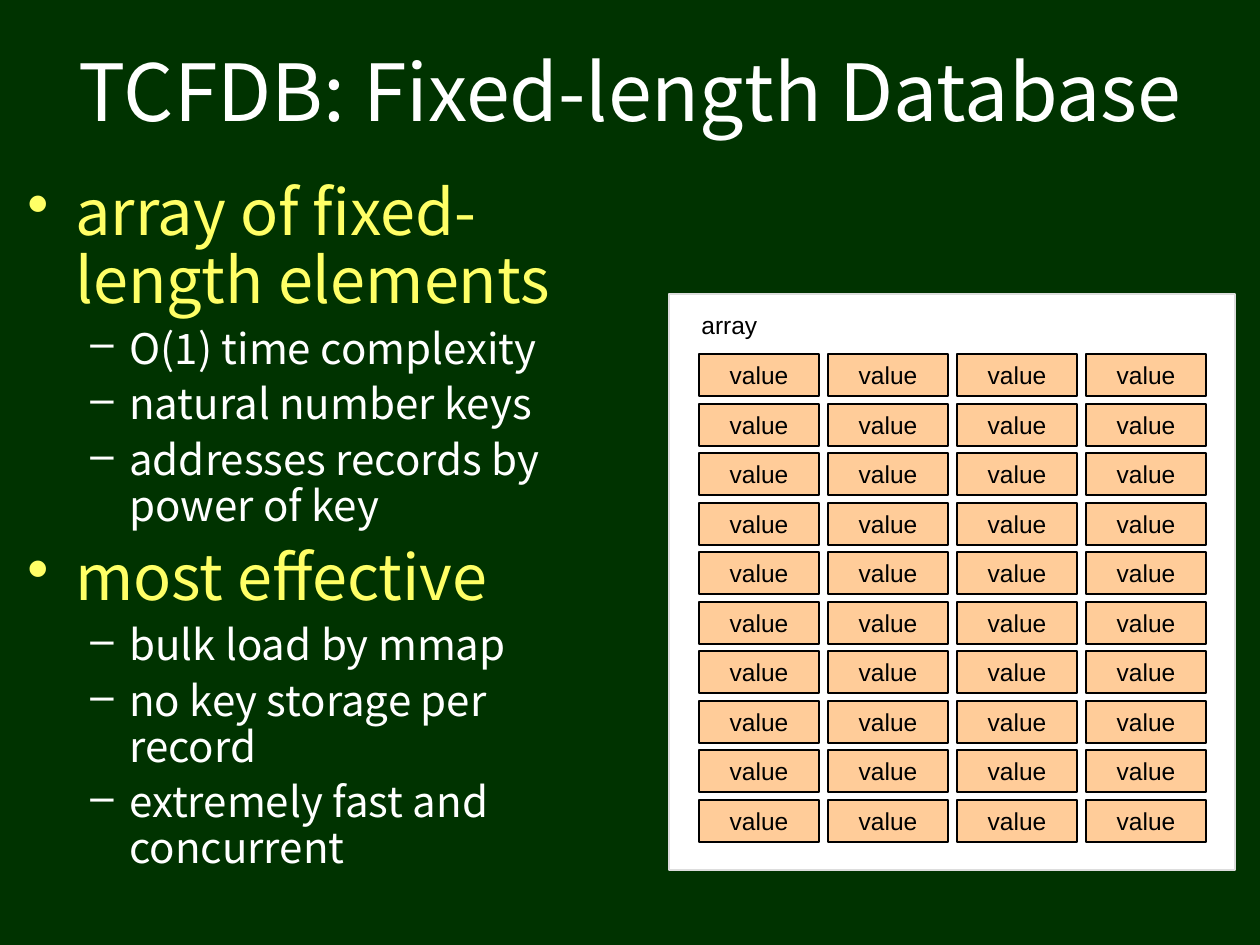
"""Builds a slide on a fixed-length array database."""
from lxml.etree import SubElement
from pptx import Presentation
from pptx.dml.color import RGBColor
from pptx.enum.shapes import MSO_SHAPE as SHAPE
from pptx.enum.text import MSO_ANCHOR as ANCHOR, MSO_AUTO_SIZE as FIT, PP_ALIGN as ALIGN
from pptx.oxml.ns import qn
from pptx.util import Emu, Pt

SCALE = 914400 / 126
GREEN, WHITE, YELLOW, PEACH, BLACK, GRAY = (
    "003300", "FFFFFF", "FFFF66", "FFCC99", "000000", "DDDDDD")
HEAD_FONT, LABEL_FONT = "Noto Sans CJK JP", "Arial"
TOPICS = {
    "array of fixed-length elements": [
        "O(1) time complexity",
        "natural number keys",
        "addresses records by power of key",
    ],
    "most effective": [
        "bulk load by mmap",
        "no key storage per record",
        "extremely fast and concurrent",
    ],
}
COLS, ROWS = 4, 10
CELL_W, CELL_H, COL_STEP = 120, 42, 129
GRID_LEFT, FIRST_TOP, LAST_TOP = 699, 354, 800


def px(n):
    return Emu(round(n * SCALE))


def rgb(value):
    return RGBColor.from_string(value)


def write(p, text, size=14, font=LABEL_FONT, color=BLACK, align=ALIGN.LEFT):
    r = p.add_run()
    r.text = text
    r.font.size, r.font.name = Pt(size), font
    r.font.color.rgb = rgb(color)
    p.alignment = align


def add_bullet(p, char, color, left, hang):
    pPr = p._p.get_or_add_pPr()
    pPr.set("marL", str(px(left)))
    pPr.set("indent", str(-px(hang)))
    SubElement(SubElement(pPr, qn("a:buClr")), qn("a:srgbClr"), val=color)
    SubElement(pPr, qn("a:buChar"), char=char)


class Deck:
    def __init__(self, width, height, background):
        self.prs = Presentation()
        self.prs.slide_width, self.prs.slide_height = px(width), px(height)
        self.s = self.prs.slides.add_slide(self.prs.slide_layouts[6])
        fill = self.s.background.fill
        fill.solid()
        fill.fore_color.rgb = rgb(background)

    def text(self, x, y, w, h, text="", anchor=ANCHOR.TOP, wrap=True, **style):
        tf = self.s.shapes.add_textbox(px(x), px(y), px(w), px(h)).text_frame
        tf.word_wrap, tf.vertical_anchor = wrap, anchor
        if text:
            write(tf.paragraphs[0], text, **style)
        return tf

    def box(self, x, y, w, h, fill, line, weight, text=""):
        sp = self.s.shapes.add_shape(SHAPE.RECTANGLE, px(x), px(y), px(w), px(h))
        sp.shadow.inherit = False
        sp.fill.solid()
        sp.fill.fore_color.rgb = rgb(fill)
        sp.line.color.rgb = rgb(line)
        sp.line.width = Pt(weight)
        if text:
            tf = sp.text_frame
            tf.word_wrap, tf.vertical_anchor = False, ANCHOR.MIDDLE
            write(tf.paragraphs[0], text, align=ALIGN.CENTER)

    def outline(self, x, y, w, h, topics):
        tf = self.text(x, y, w, h)
        items = [item for topic, points in topics.items()
                 for item in [(topic, 0), *((point, 1) for point in points)]]
        for i, (text, level) in enumerate(items):
            p = tf.add_paragraph() if i else tf.paragraphs[0]
            size, color, char, left, hang, before = (
                (24, WHITE, "–", 102, 39, 6) if level
                else (36, YELLOW, "•", 48, 48, 9))
            p.level, p.line_spacing, p.space_before = level, 0.9, Pt(before)
            add_bullet(p, char, color, left, hang)
            write(p, text, size=size, font=HEAD_FONT, color=color)


def main():
    deck = Deck(1260, 945, GREEN)
    deck.text(15, 16, 1230, 149, "TCFDB: Fixed-length Database", ANCHOR.MIDDLE,
              size=45, font=HEAD_FONT, color=WHITE, align=ALIGN.CENTER)
    deck.outline(15, 175, 605, 755, TOPICS)
    deck.box(669, 294, 566, 576, WHITE, GRAY, 1)
    for row in range(ROWS):
        top = FIRST_TOP + round((LAST_TOP - FIRST_TOP) * row / (ROWS - 1))
        for col in range(COLS):
            deck.box(GRID_LEFT + col * COL_STEP, top, CELL_W, CELL_H,
                     PEACH, BLACK, 0.75, "value")
    label = deck.text(689, 304, 81, 43, "array", wrap=False)
    label.auto_size = FIT.SHAPE_TO_FIT_TEXT
    deck.prs.save("out.pptx")


if __name__ == "__main__":
    main()
